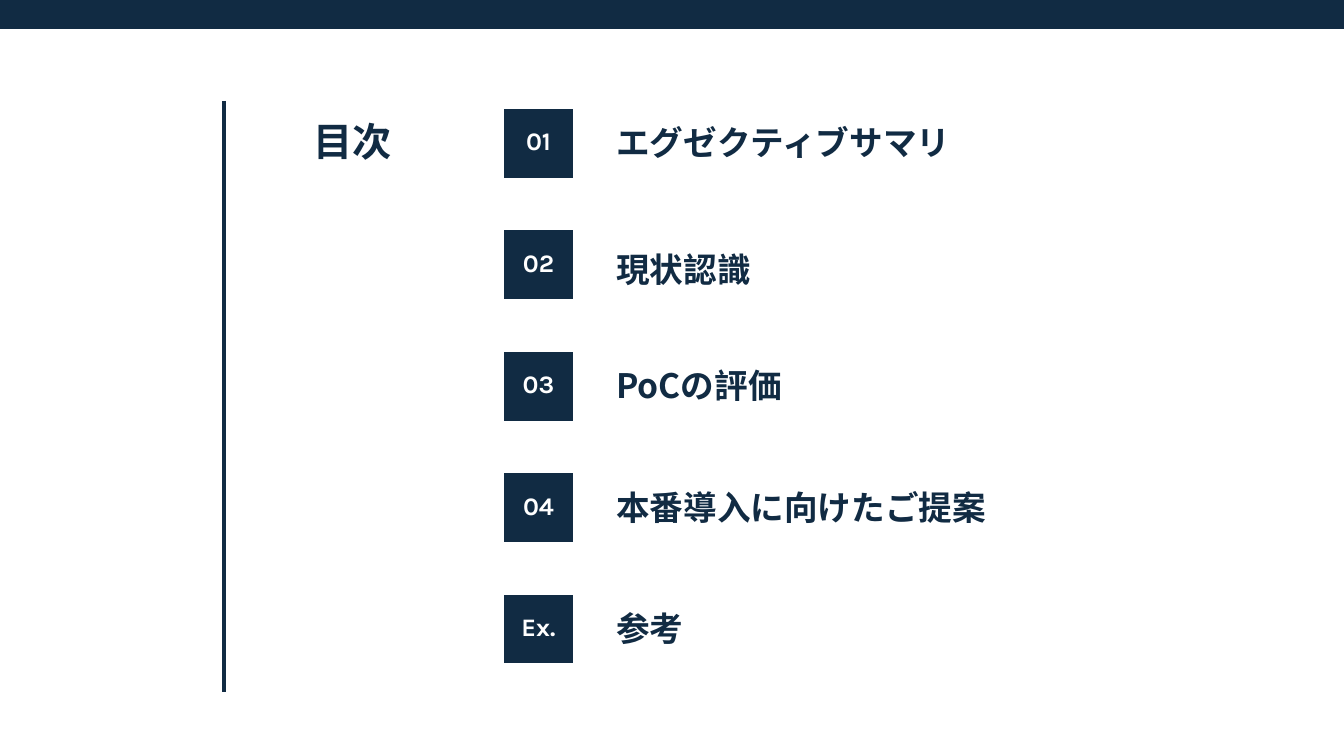
import lxml.etree
import pptx
import pptx.dml.color
import pptx.enum.shapes
import pptx.enum.text
import pptx.oxml.ns
import pptx.util

Pt = pptx.util.Pt
qn = pptx.oxml.ns.qn
HUES = {"navy": "112B43", "white": "FFFFFF"}
SANS, KARLA = "Noto Sans CJK JP", "Karla"
PLAIN = "{2D5ABB26-0587-4C30-8999-92F81FD0307C}"  # table style without grid
COLS = [110, 28.3, 49.1, 298]
ROW, GAP = 49.1, 37.65
# badge, label runs, top inset of the label
ITEMS = [
    ("01", ["エグゼクティブサマリ"], 5.6),
    ("02", ["現状認識"], 9.7),
    ("03", ["PoC", "の評価"], 5.8),
    ("04", ["本番導入に向けたご提案"], 5.7),
    ("Ex.", ["参考"], 5.7),
]


def hue(name):
    """Return the named colour."""
    return pptx.dml.color.RGBColor.from_string(HUES[name])


def write(cell, runs, size, font, tint, left=0, top=0, align="LEFT"):
    """Fill a cell with bold runs, set in from its left and top."""
    cell.margin_left, cell.margin_top = Pt(left), Pt(top)
    cell.margin_right = cell.margin_bottom = 0
    para = cell.text_frame.paragraphs[0]
    para.alignment = getattr(pptx.enum.text.PP_ALIGN, align)
    for text in runs:
        run = para.add_run()
        run.text = text
        run.font.size, run.font.name, run.font.bold = Pt(size), font, True
        run.font.color.rgb = hue(tint)
        east = lxml.etree.SubElement(run.font._element, qn("a:ea"))
        east.set("typeface", font)


def band(slide, x, y, wide, high):
    """Draw the band along the top edge."""
    shape = slide.shapes.add_shape(
        pptx.enum.shapes.MSO_SHAPE.RECTANGLE, Pt(x), Pt(y), Pt(wide), Pt(high))
    shape.shadow.inherit = False
    shape.fill.solid()
    shape.fill.fore_color.rgb = hue("navy")
    shape.line.color.rgb = hue("navy")
    shape.line.width = Pt(1)


def rule(slide, x, y, high):
    """Draw the upright line left of the list."""
    line = slide.shapes.add_connector(
        pptx.enum.shapes.MSO_CONNECTOR.STRAIGHT, Pt(x), Pt(y), Pt(x), Pt(y + high))
    line.line.color.rgb = hue("navy")
    line.line.width = Pt(3)
    lxml.etree.SubElement(line._element.spPr, qn("a:effectLst"))


def agenda(slide, x, y):
    """Build the contents table, with a gap row between items."""
    count = 2 * len(ITEMS) - 1
    highs = [GAP if i % 2 else ROW for i in range(count)]
    table = slide.shapes.add_table(
        count, len(COLS), Pt(x), Pt(y), Pt(sum(COLS)), Pt(sum(highs))).table
    table.first_row = table.horz_banding = False
    table._tbl.tblPr.find(qn("a:tableStyleId")).text = PLAIN
    for col, wide in zip(table.columns, COLS):
        col.width = Pt(wide)
    for row, high in zip(table.rows, highs):
        row.height = Pt(high)
    for cell in table.iter_cells():
        cell.fill.background()
    write(table.cell(0, 0), ["目次"], 28, SANS, "navy", left=2, top=1.9)
    for i, (mark, label, top) in enumerate(ITEMS):
        badge = table.cell(2 * i, 2)
        badge.fill.solid()
        badge.fill.fore_color.rgb = hue("navy")
        write(badge, [mark], 18, KARLA, "white", top=13.3, align="CENTER")
        write(table.cell(2 * i, 3), label, 24, SANS, "navy", left=31, top=top)


def main():
    """Build and save the slide."""
    deck = pptx.Presentation()
    deck.slide_width, deck.slide_height = Pt(960), Pt(540)
    slide = deck.slides.add_slide(deck.slide_layouts[6])
    band(slide, 0, 0, 960, 20.2)
    agenda(slide, 221.8, 77.8)
    rule(slide, 160, 72, 422.4)
    deck.save("out.pptx")


main()
